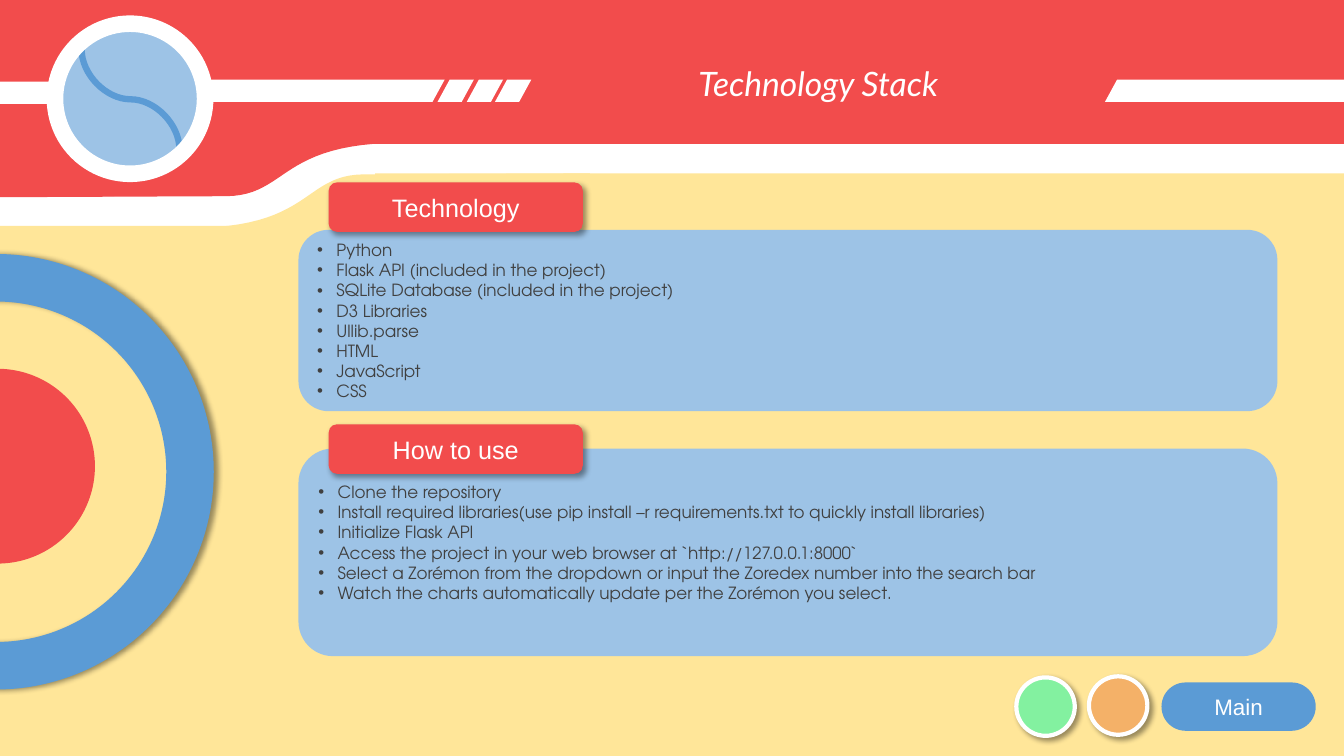
from dataclasses import dataclass

from lxml.etree import SubElement
from pptx import Presentation
from pptx.dml.color import RGBColor
from pptx.enum.shapes import MSO_CONNECTOR, MSO_SHAPE as Preset
from pptx.enum.text import MSO_ANCHOR as Anchor, MSO_AUTO_SIZE as AutoSize, PP_ALIGN as Align
from pptx.oxml.ns import qn
from pptx.util import Pt

EMU_PER_PX = 9144  # 100 px to the inch
COLORS = {
    "red": "F24C4C", "white": "FFFFFF", "yellow": "FFE699", "blue": "5B9BD5",
    "sky": "9DC3E6", "text": "404040", "mint": "83F1A0", "peach": "F4B168",
    "black": "000000",
}
Point = tuple[float, float]
Box = tuple[int, int, int, int]


@dataclass(frozen=True)
class Outline:
    points: list[Point]
    fill: str
    line: str | None = None


@dataclass(frozen=True)
class Badge:
    left: int
    top: int
    fill: str


@dataclass(frozen=True)
class Panel:
    heading: str
    heading_top: int
    top: int
    height: int
    bottom_inset: int
    items: list[str]


def px(length: float) -> int:
    return round(length * EMU_PER_PX)


def color(name: str) -> RGBColor:
    return RGBColor.from_string(COLORS[name])


def curve(start: Point, first: Point, second: Point, end: Point, steps: int = 24) -> list[Point]:
    """Points along a cubic Bezier curve."""
    points = []
    for step in range(steps + 1):
        t = step / steps
        weights = ((1 - t) ** 3, 3 * t * (1 - t) ** 2, 3 * t * t * (1 - t), t ** 3)
        corners = (start, first, second, end)
        points.append((sum(w * c[0] for w, c in zip(weights, corners)),
                       sum(w * c[1] for w, c in zip(weights, corners))))
    return points


def stripe(left: int) -> list[Point]:
    return [(left + 12, 79), (left + 36, 79), (left + 24, 101), (left, 101)]


def paint(shape, fill: str, line: str | None = None, width: float = 1,
          shadow_angle: int | None = None) -> None:
    shape.fill.solid()
    shape.fill.fore_color.rgb = color(fill)
    if line:
        shape.line.color.rgb = color(line)
        shape.line.width = Pt(width)
    else:
        shape.line.fill.background()
    shape.shadow.inherit = False
    if shadow_angle is not None:
        effects = shape._element.spPr.find(qn("a:effectLst"))
        shadow = SubElement(effects, qn("a:outerShdw"), blurRad=str(Pt(4)), dist=str(Pt(3)),
                            dir=str(shadow_angle * 60000), algn="tl", rotWithShape="0")
        tint = SubElement(shadow, qn("a:srgbClr"), val=COLORS["black"])
        SubElement(tint, qn("a:alpha"), val="40000")


def add_preset(slide, preset: Preset, box: Box, fill: str, adjust: float | None = None, **look):
    shape = slide.shapes.add_shape(preset, *map(px, box))
    if adjust is not None:
        shape.adjustments[0] = adjust
    paint(shape, fill, **look)
    return shape


def add_outline(slide, outline: Outline) -> None:
    builder = slide.shapes.build_freeform(*map(px, outline.points[0]))
    builder.add_line_segments([(px(x), px(y)) for x, y in outline.points[1:]], close=True)
    paint(builder.convert_to_shape(), outline.fill, outline.line)


def write(shape, lines: list[str], size: int, font: str, ink: str = "white",
          italic: bool = False, align: Align = Align.CENTER,
          anchor: Anchor = Anchor.MIDDLE, bullets: bool = False) -> None:
    frame = shape.text_frame
    frame.word_wrap = True
    frame.vertical_anchor = anchor
    for index, line in enumerate(lines):
        paragraph = frame.add_paragraph() if index else frame.paragraphs[0]
        paragraph.alignment = align
        if bullets:
            properties = paragraph._p.get_or_add_pPr()
            properties.set("marL", str(px(19)))
            properties.set("indent", str(px(-19)))
            SubElement(properties, qn("a:buFont"), typeface="Arial")
            SubElement(properties, qn("a:buChar"), char="•")
        run = paragraph.add_run()
        run.text = line
        run.font.size = Pt(size)
        run.font.name = font
        run.font.italic = italic
        run.font.color.rgb = color(ink)


def add_panel(slide, panel: Panel) -> None:
    body = add_preset(slide, Preset.ROUNDED_RECTANGLE, (296, panel.top, 971, panel.height), "sky")
    body.text_frame.margin_bottom = px(panel.bottom_inset)
    write(body, panel.items, 12, "TeX Gyre Adventor", ink="text", align=Align.LEFT, bullets=True)
    heading = add_preset(slide, Preset.ROUNDED_RECTANGLE, (326, panel.heading_top, 252, 49), "red",
                         shadow_angle=45)
    write(heading, [panel.heading], 18, "Arial")


def add_swoosh(slide) -> None:
    swoosh = slide.shapes.add_connector(MSO_CONNECTOR.CURVE, px(80), px(50), px(179), px(147))
    swoosh.line.color.rgb = color("blue")
    swoosh.line.width = Pt(4.5)
    properties = swoosh._element.spPr
    SubElement(properties, qn("a:effectLst"))
    transform = properties.find(qn("a:xfrm"))
    transform.set("rot", str(270 * 60000))
    transform.set("flipH", "1")


HEADER_TAB = Outline(
    [(0, 51), *curve((225, 51), (283, 81), (463, 139), (399, 141)),
     *curve((399, 141), (277, 141), (285, 193), (225, 194)), (0, 195)], "red", "red")
HEADER_STRIPES = [
    Outline([(204, 79), (441, 79), (429, 101), (204, 101)], "white"),
    *[Outline(stripe(left), "white") for left in (434, 463, 491)],
    Outline([(1333, 101), (1096, 101), (1108, 79), (1333, 79)], "white"),
]
BODY_CORNER = Outline(
    [(585, 317), *curve((360, 317), (302, 286), (122, 228), (186, 226)),
     *curve((186, 226), (309, 227), (300, 174), (360, 173)), (585, 172)], "yellow")
PANELS = [
    Panel("Technology", 181, 228, 180, 5, [
        "Python", "Flask API (included in the project)",
        "SQLite Database (included in the project)", "D3 Libraries",
        "Ullib.parse", "HTML", "JavaScript", "CSS"]),
    Panel("How to use", 421, 445, 206, 25, [
        "Clone the repository",
        "Install required libraries(use pip install –r requirements.txt to quickly install libraries)",
        "Initialize Flask API",
        "Access the project in your web browser at `http://127.0.0.1:8000`",
        "Select a Zorémon from the dropdown or input the Zoredex number into the search bar",
        "Watch the charts automatically update per the Zorémon you select."]),
]
BADGES = [Badge(1008, 672, "mint"), Badge(1080, 671, "peach")]


def main() -> None:
    presentation = Presentation()
    presentation.slide_width, presentation.slide_height = px(1333), px(750)
    slide = presentation.slides.add_slide(presentation.slide_layouts[6])

    # Header
    add_preset(slide, Preset.RECTANGLE, (0, 0, 1333, 142), "red", line="red")
    add_outline(slide, HEADER_TAB)
    add_preset(slide, Preset.RECTANGLE, (0, 81, 52, 22), "white")
    for outline in HEADER_STRIPES:
        add_outline(slide, outline)

    # Yellow body
    add_preset(slide, Preset.RECTANGLE, (0, 224, 1333, 526), "yellow")
    add_outline(slide, BODY_CORNER)
    add_preset(slide, Preset.RECTANGLE, (372, 172, 961, 54), "yellow")

    # Lens in the header
    add_preset(slide, Preset.OVAL, (62, 30, 135, 135), "sky")
    add_swoosh(slide)
    add_preset(slide, Preset.DONUT, (47, 16, 164, 164), "white", 0.092, line="white")

    # Blue ring and plain red disc on the left edge
    add_preset(slide, Preset.DONUT, (-220, 252, 432, 432), "blue", 0.109, shadow_angle=0)
    add_preset(slide, Preset.OVAL, (-96, 369, 187, 187), "red", line="red", width=4.5)

    # Title and panels
    title = slide.shapes.add_textbox(*map(px, (527, 58, 569, 50)))
    write(title, ["Technology Stack"], 24, "Lato", italic=True, anchor=Anchor.TOP)
    title.text_frame.auto_size = AutoSize.SHAPE_TO_FIT_TEXT
    for panel in PANELS:
        add_panel(slide, panel)

    # Footer buttons
    for badge in BADGES:
        add_preset(slide, Preset.OVAL, (badge.left, badge.top, 58, 58), badge.fill,
                   line="white", width=3, shadow_angle=45)
    button = add_preset(slide, Preset.ROUNDED_RECTANGLE, (1152, 677, 153, 48), "blue", 0.5)
    write(button, ["Main"], 16, "Arial")

    presentation.save("out.pptx")


if __name__ == "__main__":
    main()
